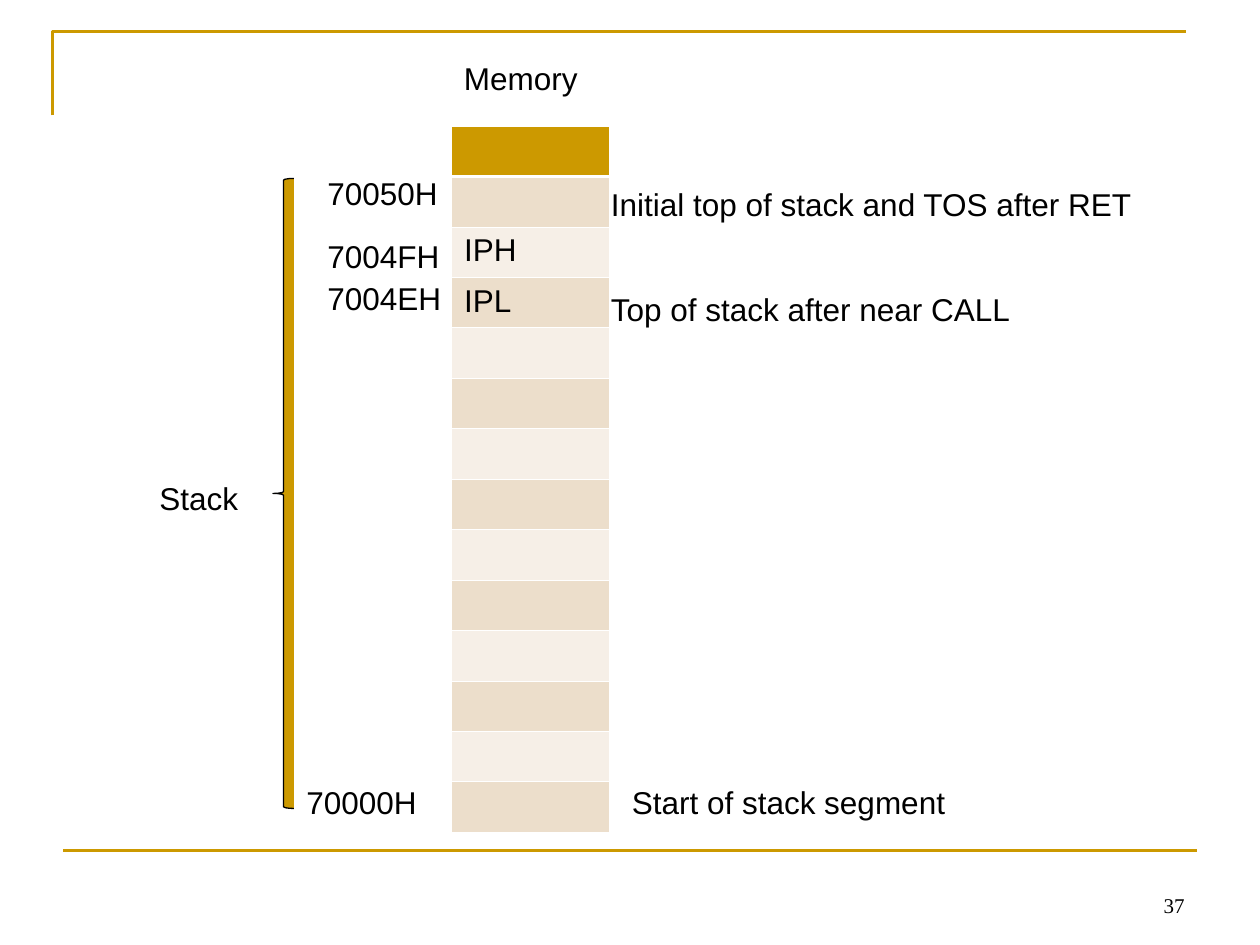
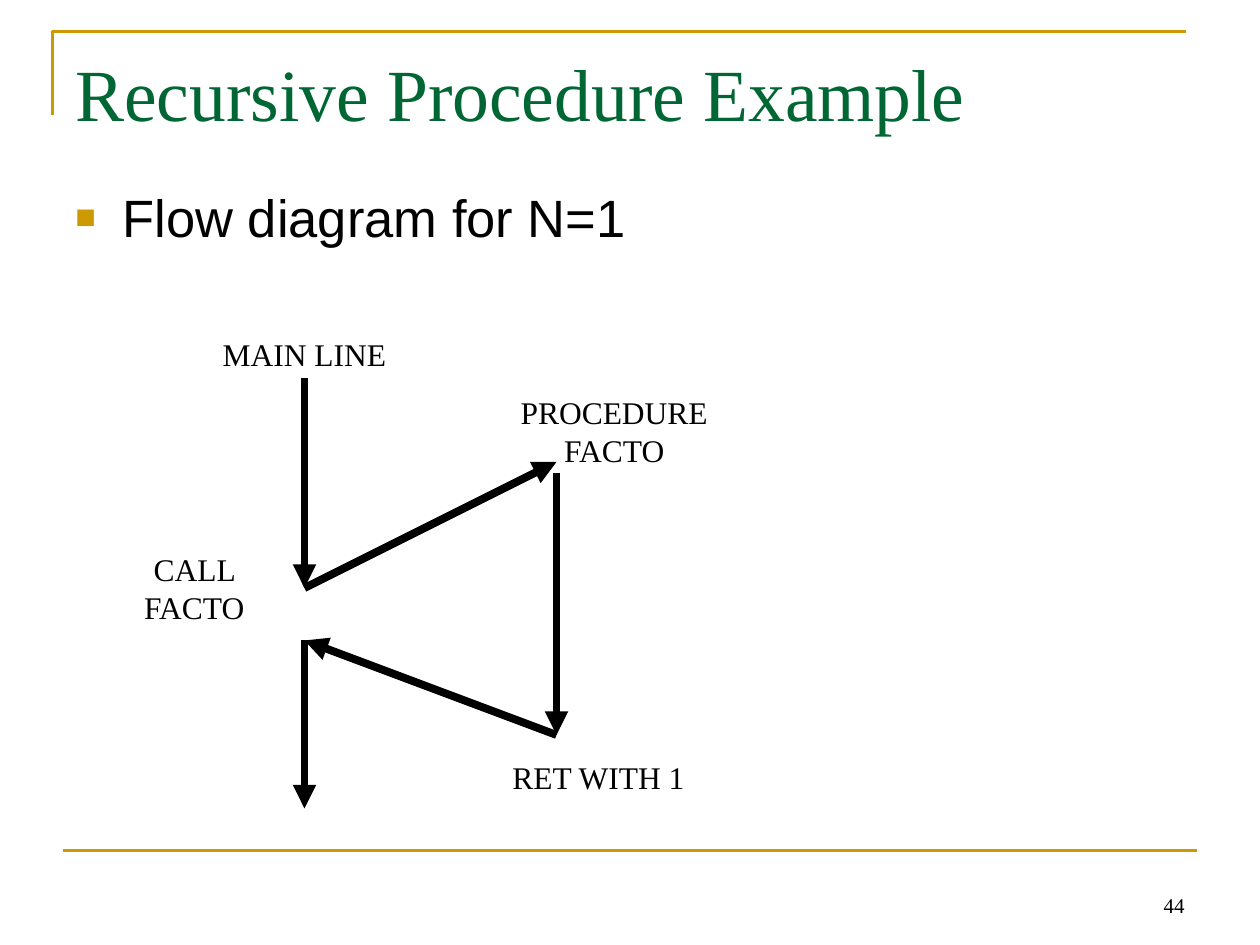
from collections import namedtuple

from lxml.etree import SubElement
from pptx import Presentation
from pptx.dml.color import RGBColor
from pptx.enum.shapes import MSO_CONNECTOR as Connector, MSO_SHAPE as Preset
from pptx.enum.text import MSO_ANCHOR as Anchor, PP_ALIGN as Align
from pptx.oxml.ns import qn
from pptx.util import Pt

GOLD = RGBColor(0xCC, 0x99, 0x00)
GREEN = RGBColor(0x00, 0x66, 0x33)
BLACK = RGBColor(0x00, 0x00, 0x00)
WHITE = RGBColor(0xFF, 0xFF, 0xFF)
BANDS = RGBColor(0xF6, 0xEF, 0xE7), RGBColor(0xEC, 0xDE, 0xCB)

SANS = {"name": "Arial", "size": Pt(18)}
SERIF = {"name": "Times New Roman", "size": Pt(18)}
TITLE = {"name": "Times New Roman", "size": Pt(42)}
BODY = {"name": "Arial", "size": Pt(30)}
NUMBER = {"name": "Times New Roman", "size": Pt(12)}

Box = namedtuple("Box", "left top width height")
PAGE = Box(0, 0, 720, 540)
ROW_HEIGHT = 28.8
CELL_TEXT = {2: "IPH", 3: "IPL"}

MEMORY_LABELS = [
    ("Memory", 168, 0, 108),
    ("70050H", 90, 66, 108),
    ("7004FH", 90, 102, 108),
    ("7004EH", 90, 126, 108),
    ("70000H", 78, 414, 108),
    ("Stack", -6, 240, 108),
    ("Initial top of stack and TOS after RET", 252, 72, 324),
    ("Top of stack after near CALL", 252, 132, 264),
    ("Start of stack segment", 264, 414, 240),
]
FLOW_LABELS = [
    ("MAIN LINE", 54, 0, 132, 24),
    ("PROCEDURE FACTO", 210, 44, 174, 24),
    ("CALL FACTO", 0, 134, 114, 24),
    ("RET WITH 1", 222, 236, 132, 36),
]


def set_format(target, values):
    for name, value in values.items():
        setattr(target, name, value)


def style_font(font, values, color=BLACK):
    set_format(font, values)
    font.color.rgb = color


def style_line(line, color, width):
    line.color.rgb = color
    line.width = Pt(width)


def add_text(page, box, text, font, color=BLACK, align=Align.LEFT,
             anchor=Anchor.TOP, wrap=True):
    frame = page.shapes.add_textbox(*map(Pt, box)).text_frame
    set_format(frame, {"word_wrap": wrap, "vertical_anchor": anchor})
    para = frame.paragraphs[0]
    para.alignment = align
    span = para.add_run()
    span.text = text
    style_font(span.font, font, color)
    return para


def add_line(page, start, end, color, width, arrow=False):
    line = page.shapes.add_connector(Connector.STRAIGHT, *map(Pt, start + end))
    style_line(line.line, color, width)
    if arrow:
        SubElement(line.line._get_or_add_ln(), qn("a:tailEnd"), type="triangle")
    SubElement(line._element.spPr, qn("a:effectLst"))


def add_bullet(para, mark, color, percent, indent):
    props = para._p.get_or_add_pPr()
    props.set("marL", str(Pt(indent)))
    props.set("indent", str(-Pt(indent)))
    fill = SubElement(props, qn("a:buClr"))
    SubElement(fill, qn("a:srgbClr"), val=str(color))
    SubElement(props, qn("a:buSzPct"), val=str(percent * 1000))
    SubElement(props, qn("a:buFont"), typeface="Arial")
    SubElement(props, qn("a:buChar"), char=mark)


def add_frame(page, box, number):
    left, top = box.left + 30, box.top + 18
    builder = page.shapes.build_freeform(Pt(left), Pt(top + 48))
    builder.add_line_segments(
        [(Pt(left), Pt(top)), (Pt(left + 648), Pt(top))], close=False)
    corner = builder.convert_to_shape()
    corner.shadow.inherit = False
    corner.fill.background()
    style_line(corner.line, GOLD, 1.5)
    base = box.top + 486
    add_line(page, (box.left + 36, base), (box.left + 684, base), GOLD, 1.5)
    add_text(page, Box(box.left + 516, base + 6, 168, 36), number, NUMBER,
             align=Align.RIGHT, anchor=Anchor.BOTTOM)


def add_cell_borders(cell, widths):
    props = cell._tc.get_or_add_tcPr()
    for side, width in zip("LRTB", widths):
        edge = SubElement(props, qn(f"a:ln{side}"), w=str(Pt(width)))
        fill = SubElement(edge, qn("a:solidFill"))
        SubElement(fill, qn("a:srgbClr"), val=str(WHITE))


def add_memory_table(page, box):
    count = round(box.height / ROW_HEIGHT)
    table = page.shapes.add_table(count, 1, *map(Pt, box)).table
    set_format(table, {"first_row": False, "horz_banding": False})
    for index, row in enumerate(table.rows):
        row.height = Pt(ROW_HEIGHT)
        cell = row.cells[0]
        above = 1.47 if index == 1 else 0.45
        below = 1.47 if index == 0 else 0.45
        add_cell_borders(cell, (0.45, 0.45, above, below))
        cell.fill.solid()
        cell.fill.fore_color.rgb = BANDS[index % 2] if index else GOLD
        if index in CELL_TEXT:
            span = cell.text_frame.paragraphs[0].add_run()
            span.text = CELL_TEXT[index]
            style_font(span.font, SANS)


def add_memory_map(page, box):
    add_memory_table(
        page, Box(box.left + 168, box.top + 42, 90, 14 * ROW_HEIGHT))
    brace = page.shapes.add_shape(
        Preset.LEFT_BRACE, Pt(box.left + 66), Pt(box.top + 72), Pt(12), Pt(360))
    brace.shadow.inherit = False
    brace.fill.solid()
    brace.fill.fore_color.rgb = GOLD
    style_line(brace.line, BLACK, 0.75)
    for text, x, y, width in MEMORY_LABELS:
        add_text(page, Box(box.left + x, box.top + y, width, 28.8), text, SANS)


def add_heading(page, box, title, point):
    add_text(page, Box(box.left, box.top, box.width, 62), title, TITLE, GREEN,
             anchor=Anchor.MIDDLE)
    para = add_text(page, Box(box.left, box.top + 80.4, box.width, 380),
                    point, BODY)
    add_bullet(para, "■", GOLD, 65, 27)


def add_flow_diagram(page, box):
    main, procedure = box.left + 120, box.left + 264
    call, back, finish = (box.top + y for y in (146, 176, 230))
    arrows = [
        ((main, box.top + 26), (main, call)),
        ((main, call), (procedure, box.top + 74)),
        ((procedure, box.top + 80), (procedure, finish)),
        ((procedure, finish), (main, back)),
        ((main, back), (main, box.top + 272)),
    ]
    for start, end in arrows:
        add_line(page, start, end, BLACK, 4.5, arrow=True)
    for text, x, y, width, height in FLOW_LABELS:
        add_text(page, Box(box.left + x, box.top + y, width, height), text,
                 SERIF, align=Align.CENTER, anchor=Anchor.MIDDLE, wrap=False)


def main():
    deck = Presentation()
    set_format(deck, {"slide_width": Pt(PAGE.width),
                      "slide_height": Pt(PAGE.height)})
    memory, recursion = (deck.slides.add_slide(deck.slide_layouts[6])
                         for _ in range(2))
    add_frame(memory, PAGE, "37")
    add_memory_map(memory, Box(90, 30, 576, 446))
    add_frame(recursion, PAGE, "44")
    add_heading(recursion, Box(36, 21.6, 648, 460), "Recursive Procedure Example",
                "Flow diagram for N=1")
    add_flow_diagram(recursion, Box(54, 190, 384, 272))
    deck.save("out.pptx")


if __name__ == "__main__":
    main()
